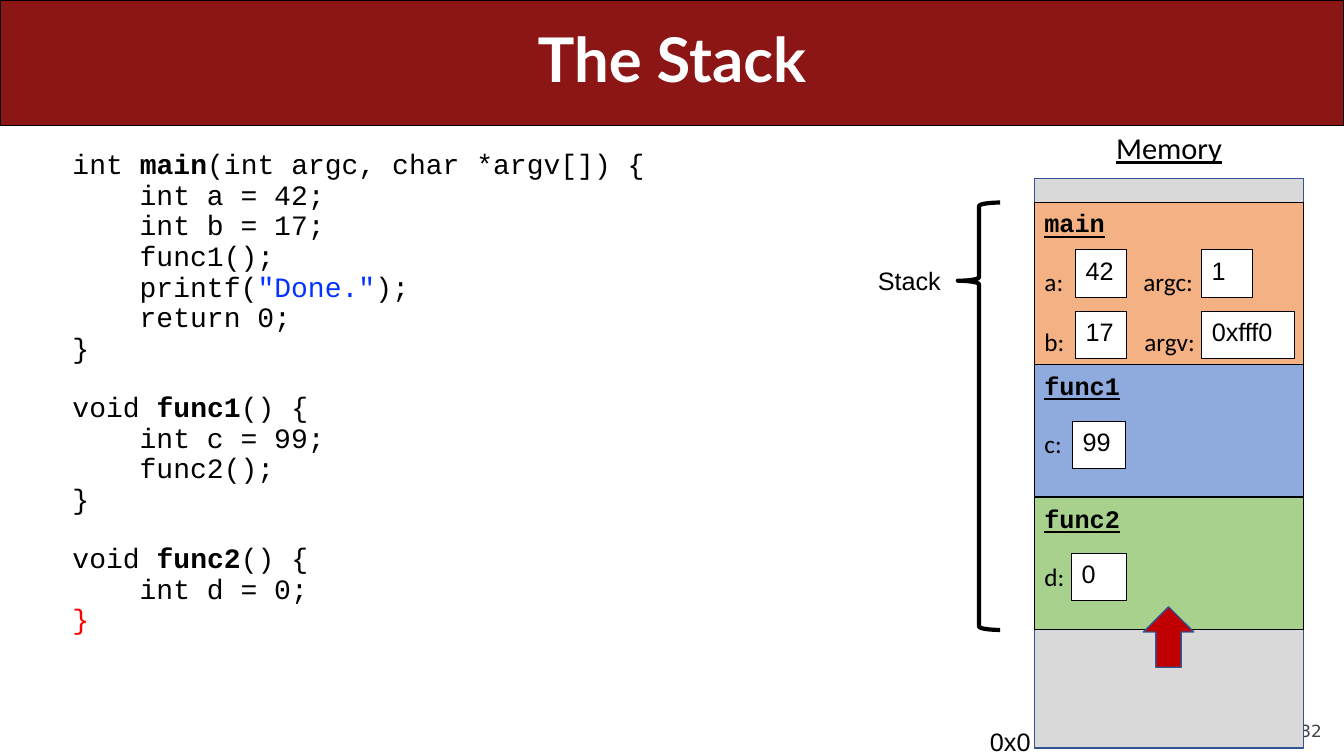
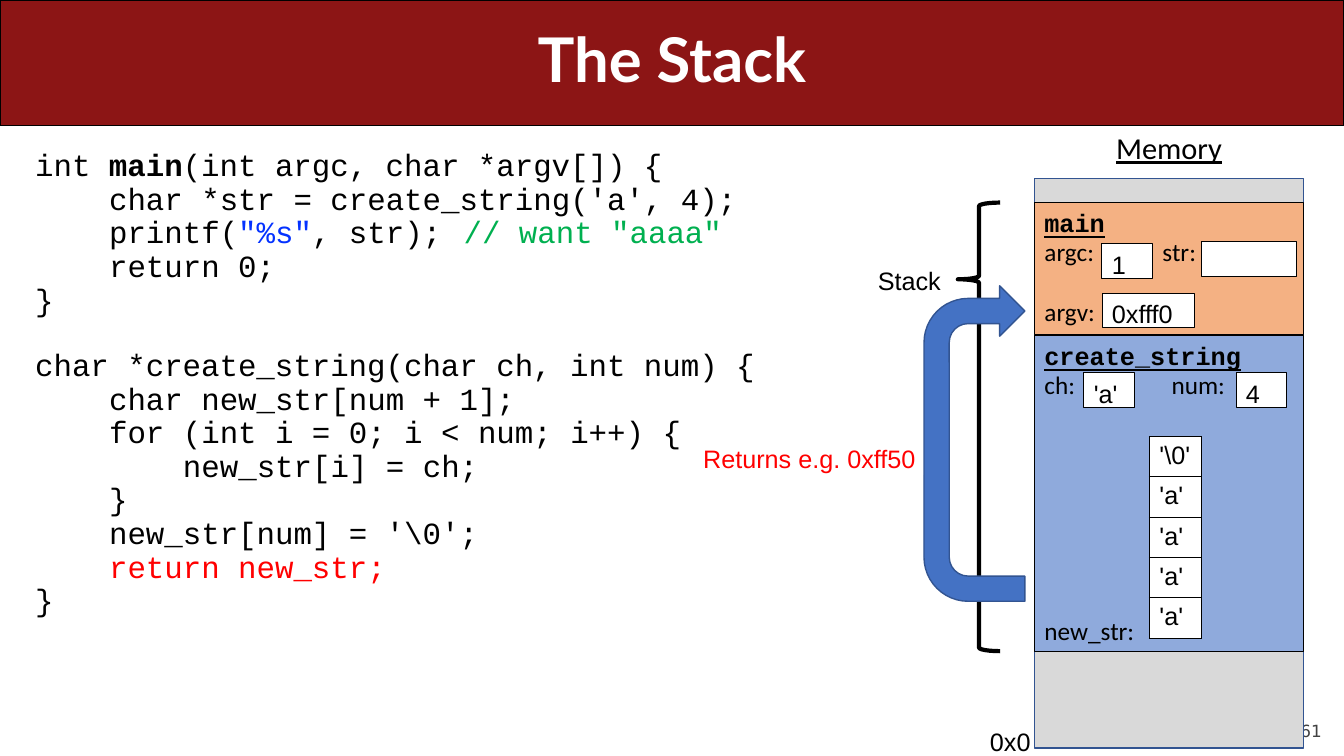
"""Build two slides that show how a call stack lies in memory."""
from lxml import etree
from pptx import Presentation
from pptx.dml.color import RGBColor
from pptx.enum.shapes import MSO_SHAPE
from pptx.enum.text import MSO_ANCHOR, PP_ALIGN
from pptx.oxml.ns import qn
from pptx.util import Inches, Pt

RECTANGLE = MSO_SHAPE.RECTANGLE
LEFT_BRACE = MSO_SHAPE.LEFT_BRACE
UP_ARROW = MSO_SHAPE.UP_ARROW
U_TURN_ARROW = MSO_SHAPE.U_TURN_ARROW
LEFT, CENTER, RIGHT = PP_ALIGN.LEFT, PP_ALIGN.CENTER, PP_ALIGN.RIGHT
TOP, MIDDLE, BOTTOM = MSO_ANCHOR.TOP, MSO_ANCHOR.MIDDLE, MSO_ANCHOR.BOTTOM

COLORS = {
    "band": "8C1515", "black": "000000", "white": "FFFFFF", "number": "424242",
    "memory": "D9D9D9", "outline": "325491", "orange": "F4B183", "blue": "8FAADC",
    "green": "A9D18E", "string": "0432FF", "comment": "00B050", "current": "FF0000",
    "pointer": "C00000", "return": "4472C4",
}
SANS, LABEL, CODE, TITLE, NUMBER = "Arial", "Calibri", "Courier New", "Lato", "DejaVu Sans"

MEMORY_LEFT, MEMORY_WIDTH = 10.26, 2.67
LABEL_LEFT = MEMORY_LEFT + 0.1
STACK_TOP = 2.01
FIRST_ROW, ROW_HEIGHT = 0.33, 0.3
HANGING = 0.25


def rgb(name):
    """Return the named colour."""
    return RGBColor.from_string(COLORS[name])


def write(paragraph, text, font=SANS, size=18, color="black", bold=False,
          underline=False, align=LEFT, spacing=None, before=0):
    """Add a formatted run and format its paragraph."""
    paragraph.alignment = align
    paragraph.line_spacing = spacing
    paragraph.space_before = Pt(before)
    run = paragraph.add_run()
    run.text = text
    run.font.name = font
    run.font.size = Pt(size)
    run.font.bold = bold
    run.font.underline = underline
    run.font.color.rgb = rgb(color)


class StackDeck:
    """Hold the presentation, its style and the current slide."""

    def __init__(self):
        """Open an empty wide presentation."""
        self.presentation = Presentation()
        self.presentation.slide_width = Inches(13.33)
        self.presentation.slide_height = Inches(7.5)
        self.slide = None

    def paint(self, shape, fill, line="black", weight=0.75):
        """Set the fill and outline of a shape."""
        if fill:
            shape.fill.solid()
            shape.fill.fore_color.rgb = rgb(fill)
        else:
            shape.fill.background()
        shape.line.color.rgb = rgb(line)
        shape.line.width = Pt(weight)

    def shape(self, kind, left, top, width, height, fill, adjustments=(), **outline):
        """Add a preset shape."""
        shape = self.slide.shapes.add_shape(
            kind, Inches(left), Inches(top), Inches(width), Inches(height))
        shape.shadow.inherit = False
        self.paint(shape, fill, **outline)
        for index, value in enumerate(adjustments):
            shape.adjustments[index] = value
        return shape

    def text(self, left, top, width, height, text, inset=True, wrap=False,
             anchor=TOP, **style):
        """Add a text box with one paragraph."""
        box = self.slide.shapes.add_textbox(
            Inches(left), Inches(top), Inches(width), Inches(height))
        frame = box.text_frame
        frame.word_wrap = wrap
        frame.vertical_anchor = anchor
        if not inset:
            frame.margin_left = frame.margin_right = 0
            frame.margin_top = frame.margin_bottom = 0
        write(frame.paragraphs[0], text, **style)

    def box(self, left, top, width, height, text, fill="white", **style):
        """Add an outlined box with text at its top left."""
        shape = self.shape(RECTANGLE, left, top, width, height, fill)
        frame = shape.text_frame
        frame.vertical_anchor = TOP
        frame.word_wrap = True
        if text:
            write(frame.paragraphs[0], text, **style)

    def start(self, title, number, stack_height, tip):
        """Add a slide with the title band, memory column and stack brace."""
        self.slide = self.presentation.slides.add_slide(
            self.presentation.slide_layouts[5])
        band = self.slide.shapes.title
        band.left, band.top = Inches(0), Inches(0)
        band.width, band.height = self.presentation.slide_width, Inches(1.25)
        self.paint(band, "band")
        band.text_frame.vertical_anchor = MIDDLE
        write(band.text_frame.paragraphs[0], title, font=TITLE, size=44,
              color="white", bold=True, align=CENTER, spacing=0.9)
        self.text(12, 6.95, 1.11, 0.4, number, inset=False, wrap=True, anchor=BOTTOM,
                  font=NUMBER, size=12, color="number", align=RIGHT)
        self.text(10.93, 1.33, 1.33, 0.43, "Memory", wrap=True, font=LABEL, size=21.7,
                  underline=True, align=CENTER, spacing=0.7, before=10)
        self.shape(RECTANGLE, MEMORY_LEFT, 1.77, MEMORY_WIDTH, 5.65, "memory",
                   line="outline", weight=1)
        self.text(9.63, 7.16, 0.69, 0.34, "0x0", align=RIGHT)
        self.shape(LEFT_BRACE, 9.5, STACK_TOP, 0.42, stack_height, None,
                   adjustments=(0.083, tip), weight=3)
        self.text(8.6, 2.58, 0.83, 0.4, "Stack", align=RIGHT)

    def code(self, start, width, size, functions):
        """Add code whose functions are lists of (level, runs) lines."""
        box = self.slide.shapes.add_textbox(
            Inches(0.25), Inches(1.5), Inches(width), Inches(5))
        frame = box.text_frame
        frame.word_wrap = True
        line_gap = size / 4
        level_width = 4 * 0.6 * size / 72
        paragraph = frame.paragraphs[0]
        for function_index, lines in enumerate(functions):
            for line_index, (level, runs) in enumerate(lines):
                if function_index or line_index:
                    paragraph = frame.add_paragraph()
                new_function = function_index and not line_index
                before = line_gap + (1.04 * size if new_function else 0)
                properties = paragraph._p.get_or_add_pPr()
                properties.set("marL", str(Inches(start + HANGING)))
                properties.set("indent", str(Inches(level * level_width - HANGING)))
                for text, style in runs:
                    write(paragraph, text, font=CODE, size=size, spacing=0.7,
                          before=before, **style)

    def frame(self, name, top, height, fill, variables, box_height):
        """Add a stack frame with its labels and value boxes."""
        self.box(MEMORY_LEFT, top, MEMORY_WIDTH, height, name, fill=fill,
                 font=CODE, bold=True, underline=True)
        for label, left, row, value, box_left, box_top, width in variables:
            self.text(left, top + FIRST_ROW + row * ROW_HEIGHT, 0.6, ROW_HEIGHT, label,
                      inset=False, font=LABEL)
            self.box(box_left, box_top, width, box_height, value)

    def array(self, left, top, width, row_height, values):
        """Add a one-column table of array elements."""
        graphic = self.slide.shapes.add_table(
            len(values), 1, Inches(left), Inches(top), Inches(width),
            Inches(row_height * len(values)))
        table = graphic.table
        table.first_row = table.horz_banding = False
        table.columns[0].width = Inches(width)
        for row, value in zip(table.rows, values):
            row.height = Inches(row_height)
            cell = row.cells[0]
            write(cell.text_frame.paragraphs[0], value)
            properties = cell._tc.get_or_add_tcPr()
            for side in ("a:lnL", "a:lnR", "a:lnT", "a:lnB"):
                border = etree.SubElement(properties, qn(side), w=str(Pt(1)))
                fill = etree.SubElement(border, qn("a:solidFill"))
                etree.SubElement(fill, qn("a:srgbClr"), val=COLORS["black"])
            cell.fill.solid()
            cell.fill.fore_color.rgb = rgb("white")


def plain(level, text, **style):
    """Return a code line in a single style."""
    return level, [(text, style)]


def header(before, name, after):
    """Return a function header with a bold name."""
    return 0, [(before, {}), (name, {"bold": True}), (after, {})]


MAIN_HEADER = header("int ", "main", "(int argc, char *argv[]) {")
CLOSE = plain(0, "}")


def nested_calls(deck):
    """Build the slide with three nested calls."""
    deck.start("The Stack", "32", 4.24, 0.183)
    deck.code(0.37, 6.58, 20, [
        [MAIN_HEADER,
         plain(1, "int a = 42;"),
         plain(1, "int b = 17;"),
         plain(1, "func1();"),
         (1, [("printf(", {}), ("\"Done.\"", {"color": "string"}), (");", {})]),
         plain(1, "return 0;"),
         CLOSE],
        [header("void ", "func1", "() {"),
         plain(1, "int c = 99;"),
         plain(1, "func2();"),
         CLOSE],
        [header("void ", "func2", "() {"),
         plain(1, "int d = 0;"),
         plain(0, "}", color="current")],
    ])
    deck.frame("main", STACK_TOP, 1.62, "orange", [
        ("a:", LABEL_LEFT, 1, "42", 10.67, 2.48, 0.5),
        ("argc:", 11.34, 1, "1", 11.92, 2.48, 0.5),
        ("b:", LABEL_LEFT, 3, "17", 10.67, 3.09, 0.5),
        ("argv:", 11.35, 3, "0xfff0", 11.92, 3.09, 0.92),
    ], 0.47)
    deck.frame("func1", 3.62, 1.31, "blue",
               [("c:", LABEL_LEFT, 1, "99", 10.64, 4.18, 0.52)], 0.47)
    deck.frame("func2", 4.94, 1.31, "green",
               [("d:", LABEL_LEFT, 1, "0", 10.63, 5.49, 0.54)], 0.47)
    deck.shape(UP_ARROW, 11.34, 6.02, 0.5, 0.6, "pointer", line="outline", weight=1)


def returned_array(deck):
    """Build the slide with the returned local array."""
    deck.start("The Stack", "61", 4.45, 0.171)
    deck.code(0, 8.29, 22, [
        [MAIN_HEADER,
         plain(1, "char *str = create_string('a', 4);"),
         (1, [("printf(", {}), ("\"%s\"", {"color": "string"}), (", str);\t", {}),
              ("// want \"aaaa\"", {"color": "comment"})]),
         plain(1, "return 0;"),
         CLOSE],
        [plain(0, "char *create_string(char ch, int num) {"),
         plain(1, "char new_str[num + 1];"),
         plain(1, "for (int i = 0; i < num; i++) {"),
         plain(2, "new_str[i] = ch;"),
         plain(1, "}"),
         plain(1, "new_str[num] = '\\0';"),
         plain(1, "return new_str;", color="current"),
         CLOSE],
    ])
    deck.frame("main", STACK_TOP, 1.31, "orange", [
        ("argc:", LABEL_LEFT, 0, "1", 10.93, 2.42, 0.5),
        ("str:", 11.53, 0, "", 11.92, 2.4, 0.94),
        ("argv:", LABEL_LEFT, 2, "0xfff0", 10.93, 2.91, 0.92),
    ], 0.34)
    deck.frame("create_string", 3.33, 3.13, "blue", [
        ("ch:", LABEL_LEFT, 0, "'a'", 10.75, 3.7, 0.5),
        ("num:", 11.62, 0, "4", 12.26, 3.7, 0.5),
    ], 0.34)
    deck.text(LABEL_LEFT, 6.1, 0.9, ROW_HEIGHT, "new_str:", inset=False, font=LABEL)
    deck.array(11.4, 4.33, 0.52, 0.4, ["'\\0'"] + ["'a'"] * 4)
    arrow = deck.shape(U_TURN_ARROW, 8.1, 3.9, 3.13, 1, "return", line="outline",
                       weight=1, adjustments=(0.25, 0.25, 0.25, 0.438, 1))
    arrow.rotation = 270
    deck.text(6.85, 4.35, 2.33, 0.4, "Returns e.g. 0xff50", color="current", align=RIGHT)


def main():
    """Build and save the presentation."""
    deck = StackDeck()
    nested_calls(deck)
    returned_array(deck)
    deck.presentation.save("out.pptx")


if __name__ == "__main__":
    main()
